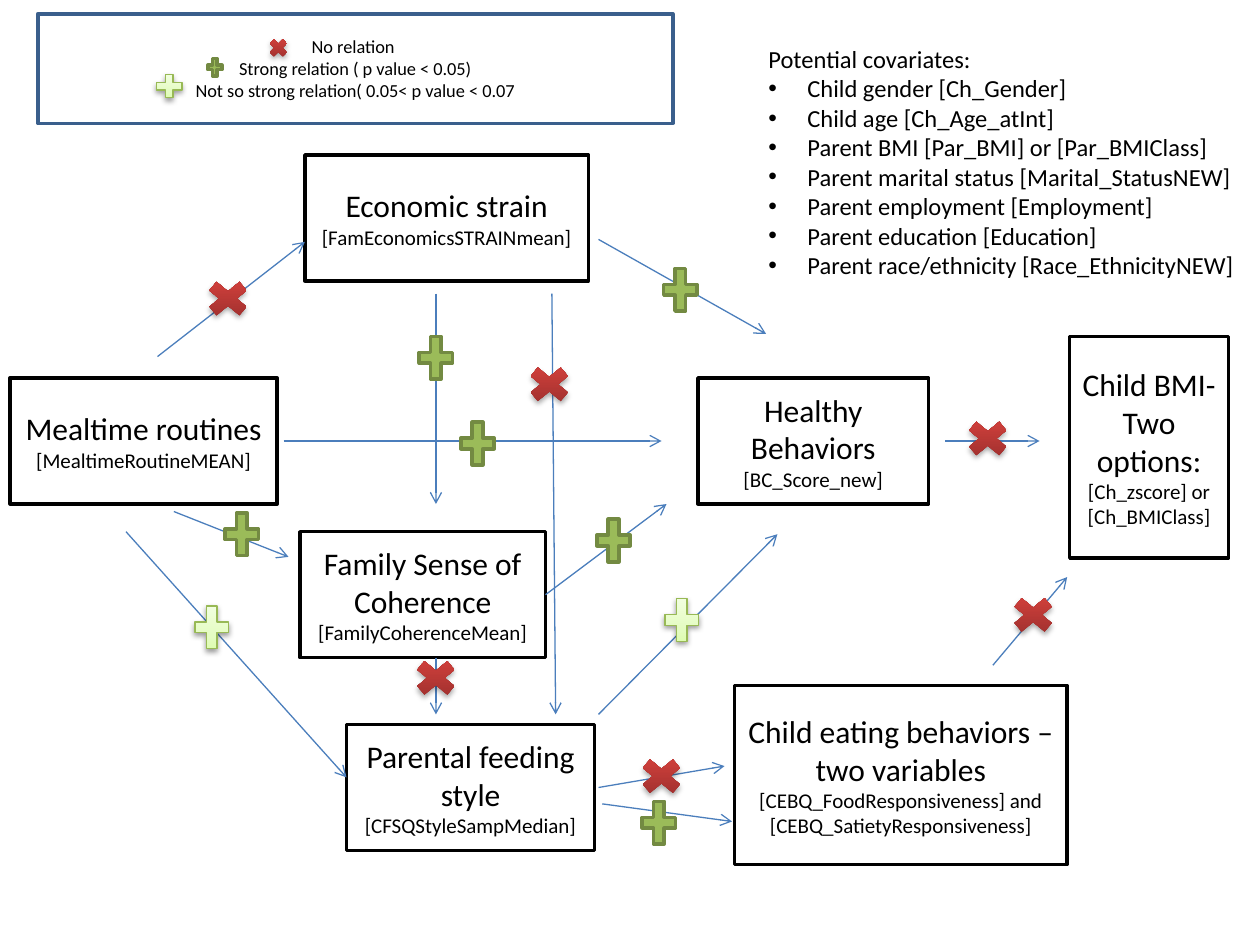
"""Build a path-model slide of family factors, child behaviors and child BMI."""
from dataclasses import dataclass

from lxml import etree
from pptx import Presentation
from pptx.dml.color import RGBColor
from pptx.enum.dml import MSO_FILL
from pptx.enum.shapes import MSO_CONNECTOR, MSO_SHAPE
from pptx.enum.text import MSO_ANCHOR, MSO_AUTO_SIZE, PP_ALIGN
from pptx.oxml.ns import qn
from pptx.util import Inches, Pt

RECTANGLE, PLUS, CROSS = MSO_SHAPE.RECTANGLE, MSO_SHAPE.MATH_PLUS, MSO_SHAPE.MATH_MULTIPLY
STRAIGHT = MSO_CONNECTOR.STRAIGHT
CENTER, MIDDLE = PP_ALIGN.CENTER, MSO_ANCHOR.MIDDLE
FIT_TEXT = MSO_AUTO_SIZE.SHAPE_TO_FIT_TEXT
GRADIENT = MSO_FILL.GRADIENT


@dataclass(frozen=True)
class Theme:
    """Colours and type sizes of the slide."""
    font: str = "Calibri"
    ink: str = "000000"
    legend_border: str = "3A5F8C"
    arrow: str = "4B7EBC"
    heading: float = 18
    variable: float = 12
    covariate: float = 14
    legend: float = 10.5
    border: float = 2
    thin: float = 0.75


@dataclass(frozen=True)
class Mark:
    """Look of one relation mark: stops, border and shadow (alpha, blur, distance)."""
    symbol: int
    size: tuple
    stops: tuple
    border: tuple = ()
    shadow: tuple = ()


THEME = Theme()
NO_RELATION = Mark(CROSS, (0.46, 0.38), ((0, "9C2F2D"), (80, "CB3E3A"), (100, "CE3B37")),
                   shadow=(35, 3.1, 1.8))
STRONG = Mark(PLUS, (0.36, 0.46), ((0, "9BBB59"),), ("738A42", THEME.border))
WEAK = Mark(PLUS, (0.36, 0.46), ((0, "DAFDA7"), (35, "E4FCC2"), (100, "F5FFE7")),
            ("98B955", THEME.thin), (38, 3.1, 1.6))

FACTORS = [
    ((0.08, 3, 2.12, 1), ["Mealtime routines"], ["[MealtimeRoutineMEAN]"]),
    ((2.75, 5.75, 1.97, 1), ["Parental feeding style"], ["[CFSQStyleSampMedian]"]),
    ((2.42, 1.23, 2.25, 1), ["Economic strain"], ["[FamEconomicsSTRAINmean]"]),
    ((5.54, 3, 1.83, 1), ["Healthy Behaviors"], ["[BC_Score_new]"]),
    ((2.38, 4.22, 1.95, 1), ["Family Sense of Coherence"], ["[FamilyCoherenceMean]"]),
    ((5.83, 5.44, 2.64, 1.42), ["Child eating behaviors – two variables"],
     ["[CEBQ_FoodResponsiveness] and", "[CEBQ_SatietyResponsiveness]"]),
    ((8.49, 2.67, 1.26, 1.76), ["Child BMI-", "Two options:"], ["[Ch_zscore] or [Ch_BMIClass]"]),
]
COVARIATES = [
    "Child gender [Ch_Gender]", "Child age [Ch_Age_atInt]",
    "Parent BMI [Par_BMI] or [Par_BMIClass]", "Parent marital status [Marital_StatusNEW]",
    "Parent employment [Employment]", "Parent education [Education]",
    "Parent race/ethnicity [Race_EthnicityNEW]",
]
RELATIONS = [
    ((2.25, 3.5, 5.25, 3.5), STRONG, (3.61, 3.29)),
    ((7.5, 3.5, 8.25, 3.5), NO_RELATION, (7.61, 3.29)),
    ((1.25, 2.83, 2.42, 1.92), NO_RELATION, (1.58, 2.18)),
    ((1.38, 4.06, 2.29, 4.42), STRONG, (1.74, 4.01)),
    ((4.33, 4.72, 5.29, 4), STRONG, (4.69, 4.06)),
    ((1, 4.22, 2.75, 6.17), WEAK, (1.5, 4.75)),
    ((4.75, 6.25, 5.75, 6.08), NO_RELATION, (5.02, 5.97)),
    ((7.88, 5.28, 8.47, 4.58), NO_RELATION, (7.97, 4.69)),
    ((4.75, 1.9, 6.08, 2.65), STRONG, (5.22, 2.07)),
    ((3.46, 2.33, 3.46, 4), STRONG, (3.28, 2.61)),
    ((3.46, 5.22, 3.46, 5.67), NO_RELATION, (3.23, 5.19)),
    ((4.38, 2.33, 4.41, 5.67), NO_RELATION, (4.13, 2.86)),
    ((4.75, 5.67, 6.17, 4.24), WEAK, (5.23, 4.69)),
    ((4.78, 6.38, 5.81, 6.52), STRONG, (5.05, 6.3)),
]
LEGEND = [
    ("No relation ", NO_RELATION, (2.11, 0.28), (0.2, 0.2)),
    ("Strong relation ( p value < 0.05)", STRONG, (1.63, 0.44), (0.15, 0.19)),
    ("Not so strong relation( 0.05< p value < 0.07", WEAK, (1.21, 0.56), (0.27, 0.25)),
]


def rgb(colour):
    """Return a colour object for a hex string."""
    return RGBColor.from_string(colour)


def child(parent, tag, **attributes):
    """Append a drawing element with the given attributes."""
    return etree.SubElement(parent, qn(tag), {key: str(value) for key, value in attributes.items()})


def write_lines(frame, lines, align=None):
    """Write (text, size) pairs as paragraphs and return them."""
    for index, (text, size) in enumerate(lines):
        paragraph = frame.paragraphs[0] if index == 0 else frame.add_paragraph()
        paragraph.text = text
        paragraph.alignment = align
        paragraph.font.name = THEME.font
        paragraph.font.size = Pt(size)
        paragraph.font.color.rgb = rgb(THEME.ink)
    return frame.paragraphs


def add_box(slide, place, lines, border):
    """Add an outlined box with centred text."""
    box = slide.shapes.add_shape(RECTANGLE, *map(Inches, place))
    box.shadow.inherit = False
    box.fill.background()
    box.line.color.rgb = rgb(border)
    box.line.width = Pt(THEME.border)
    box.text_frame.word_wrap = True
    box.text_frame.vertical_anchor = MIDDLE
    write_lines(box.text_frame, lines, CENTER)


def add_covariates(slide):
    """Add the bulleted list of potential covariates."""
    covariates = slide.shapes.add_textbox(*map(Inches, (6, 0.3, 3.94, 1.99)))
    frame = covariates.text_frame
    frame.word_wrap = False
    frame.auto_size = FIT_TEXT
    lines = [(text, THEME.covariate) for text in ["Potential covariates:", *COVARIATES]]
    for paragraph in write_lines(frame, lines)[1:]:
        properties = paragraph._p.get_or_add_pPr()
        properties.set("marL", str(Inches(0.31)))
        properties.set("indent", str(Inches(-0.31)))
        bullet_font = etree.Element(qn("a:buFont"), typeface="Arial")
        properties.insert(0, bullet_font)
        bullet = etree.Element(qn("a:buChar"), char="•")
        bullet_font.addnext(bullet)


def add_arrow(slide, ends):
    """Add a thin arrow from the first point to the second."""
    arrow = slide.shapes.add_connector(STRAIGHT, *map(Inches, ends))
    arrow.line.color.rgb = rgb(THEME.arrow)
    arrow.line.width = Pt(THEME.thin)
    child(arrow.line._get_or_add_ln(), "a:tailEnd", type="arrow")
    child(arrow._element.spPr, "a:effectLst")


def fill_mark(symbol, stops):
    """Fill a mark with one colour or an upward gradient."""
    if len(stops) == 1:
        symbol.fill.solid()
        symbol.fill.fore_color.rgb = rgb(stops[0][1])
        return
    symbol.fill.gradient()
    if symbol.fill.type == GRADIENT:
        symbol.fill.gradient_angle = 90
    stop_list = symbol._element.spPr.find(qn("a:gradFill")).find(qn("a:gsLst"))
    for old_stop in list(stop_list):
        stop_list.remove(old_stop)
    for position, colour in stops:
        child(child(stop_list, "a:gs", pos=position * 1000), "a:srgbClr", val=colour)


def add_mark(slide, mark, corner, size):
    """Add a relation mark with its fill, border and shadow."""
    symbol = slide.shapes.add_shape(mark.symbol, *map(Inches, (*corner, *size)))
    symbol.shadow.inherit = False
    fill_mark(symbol, mark.stops)
    if mark.border:
        symbol.line.color.rgb = rgb(mark.border[0])
        symbol.line.width = Pt(mark.border[1])
    else:
        symbol.line.fill.background()
    if mark.shadow:
        alpha, blur, distance = mark.shadow
        effects = symbol._element.spPr.find(qn("a:effectLst"))
        shade = child(effects, "a:outerShdw", blurRad=Pt(blur), dist=Pt(distance),
                      dir=5400000, rotWithShape=0)
        child(child(shade, "a:srgbClr", val=THEME.ink), "a:alpha", val=alpha * 1000)


def main():
    """Assemble and save the slide."""
    deck = Presentation()
    deck.slide_width, deck.slide_height = Inches(10), Inches(7.5)
    slide = deck.slides.add_slide(deck.slide_layouts[6])
    for place, headings, variables in FACTORS:
        lines = [(text, THEME.heading) for text in headings]
        lines += [(text, THEME.variable) for text in variables]
        add_box(slide, place, lines, THEME.ink)
    add_covariates(slide)
    for ends, _, _ in RELATIONS:
        add_arrow(slide, ends)
    for _, mark, corner in RELATIONS:
        add_mark(slide, mark, corner, mark.size)
    legend_lines = [(text, THEME.legend) for text, *_ in LEGEND]
    add_box(slide, (0.3, 0.11, 5.04, 0.87), legend_lines, THEME.legend_border)
    for _, mark, corner, size in LEGEND:
        add_mark(slide, mark, corner, size)
    deck.save("out.pptx")


main()
